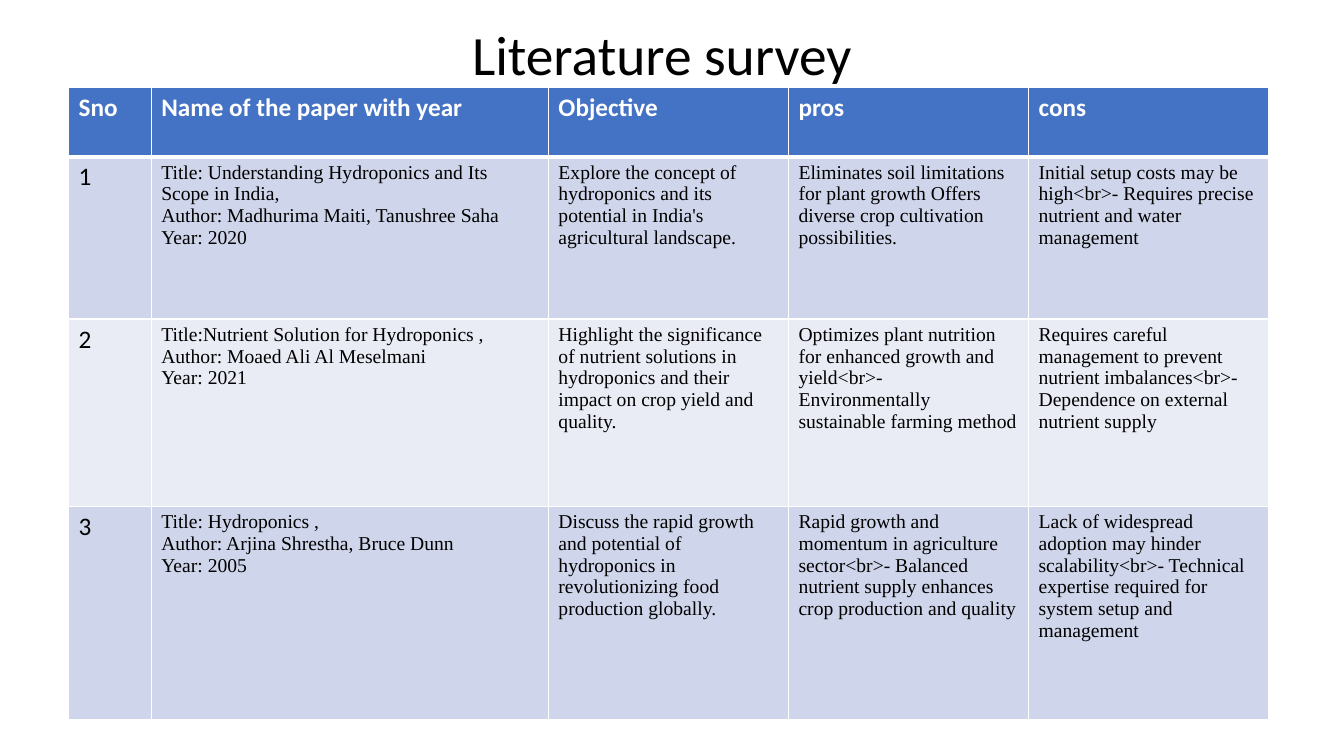
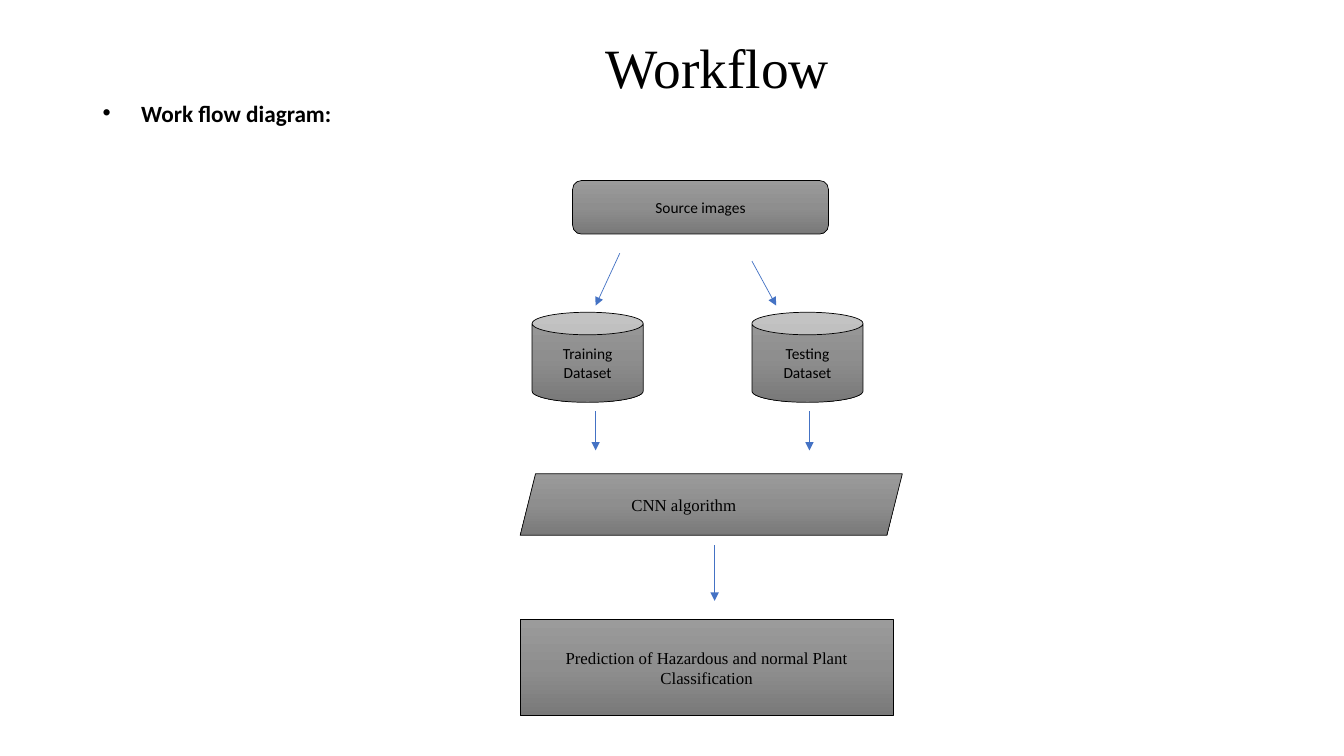
"""Builds the literature survey table and the workflow diagram slides."""
from copy import deepcopy

from lxml import etree
from pptx import Presentation
from pptx.dml.color import RGBColor
from pptx.enum import shapes, text as txt
from pptx.oxml import ns
from pptx.util import Cm, Pt

BLACK = RGBColor(0x00, 0x00, 0x00)
WHITE = RGBColor(0xFF, 0xFF, 0xFF)
BLUE = RGBColor(0x44, 0x72, 0xC4)
BAND_DARK = RGBColor(0xCF, 0xD5, 0xEA)
BAND_LIGHT = RGBColor(0xE9, 0xEB, 0xF5)
GREY_STOPS = [
    (0, RGBColor(0x9B, 0x9B, 0x9B)),
    (0.5, RGBColor(0x8E, 0x8E, 0x8E)),
    (1, RGBColor(0x79, 0x79, 0x79)),
]
SANS, SERIF = "Calibri", "Times New Roman"
LEFT, CENTER = txt.PP_ALIGN.LEFT, txt.PP_ALIGN.CENTER
TOP, MIDDLE = txt.MSO_ANCHOR.TOP, txt.MSO_ANCHOR.MIDDLE
SHAPE = shapes.MSO_SHAPE

COLUMN_WIDTHS = [2.08, 10.01, 6.05, 6.05, 6.05]
ROW_HEIGHTS = [1.75, 4.09, 4.72, 5.38]
HEADINGS = ["Sno", "Name of the paper with year", "Objective", "pros", "cons"]
PAPERS = [
    ["1",
     "Title: Understanding Hydroponics and Its Scope in India,\n"
     "Author: Madhurima Maiti, Tanushree Saha\nYear: 2020",
     "Explore the concept of hydroponics and its potential in India's "
     "agricultural landscape.",
     "Eliminates soil limitations for plant growth Offers diverse crop "
     "cultivation possibilities.",
     "Initial setup costs may be high<br>- Requires precise nutrient and "
     "water management"],
    ["2",
     "Title:Nutrient Solution for Hydroponics ,\n"
     "Author: Moaed Ali Al Meselmani\nYear: 2021",
     "Highlight the significance of nutrient solutions in hydroponics and "
     "their impact on crop yield and quality.",
     "Optimizes plant nutrition for enhanced growth and yield<br>- "
     "Environmentally sustainable farming method",
     "Requires careful management to prevent nutrient imbalances<br>- "
     "Dependence on external nutrient supply"],
    ["3",
     "Title: Hydroponics ,\nAuthor: Arjina Shrestha, Bruce Dunn\nYear: 2005",
     "Discuss the rapid growth and potential of hydroponics in "
     "revolutionizing food production globally.",
     "Rapid growth and momentum in agriculture sector<br>- Balanced "
     "nutrient supply enhances crop production and quality",
     "Lack of widespread adoption may hinder scalability<br>- Technical "
     "expertise required for system setup and management"],
]

STEPS = [
    (SHAPE.ROUNDED_RECTANGLE, (14.43, 4.55, 6.45, 1.35), "Source images",
     dict(size=11)),
    (SHAPE.CAN, (13.41, 7.87, 2.8, 2.27), "Training Dataset", dict(size=11)),
    (SHAPE.CAN, (18.95, 7.87, 2.8, 2.27), "Testing Dataset", dict(size=11)),
    (SHAPE.PARALLELOGRAM, (13.11, 11.94, 9.63, 1.55), "CNN algorithm",
     dict(size=12, font=SERIF, align=LEFT, margin=1.59)),
    (SHAPE.RECTANGLE, (13.11, 15.62, 9.4, 2.42),
     "Prediction of Hazardous and normal Plant Classification",
     dict(size=12, font=SERIF)),
]
ARROWS = [
    (15.62, 6.38, 15.01, 7.7),
    (18.95, 6.58, 19.56, 7.7),
    (15.01, 10.36, 15.01, 11.35),
    (20.4, 10.36, 20.4, 11.35),
    (18.01, 13.74, 18.01, 15.14),
]


def add_xml(parent, tag, **attributes):
    """Append a drawing element with attributes and return it."""
    return etree.SubElement(parent, ns.qn(tag), attributes)


def put_text(frame, content, size=14, font=SANS, color=BLACK, bold=False,
             align=LEFT, anchor=TOP, spacing=None, margin=0, bullet=None):
    """Write formatted paragraphs, one for each line of content."""
    frame.text = content
    frame.word_wrap = True
    frame.vertical_anchor = anchor
    for paragraph in frame.paragraphs:
        paragraph.alignment = align
        if spacing:
            paragraph.line_spacing = spacing
        properties = paragraph._p.get_or_add_pPr()
        if margin:
            properties.set("marL", str(Cm(margin)))
        if bullet:
            properties.set("indent", str(-Cm(margin)))
            add_xml(properties, "a:buFont", typeface="Arial")
            add_xml(properties, "a:buChar", char=bullet)
        for run in paragraph.runs:
            run.font.name = font
            run.font.size = Pt(size)
            run.font.bold = bold
            run.font.color.rgb = color


def add_label(slide, box, content, **style):
    """Add a text box measured in centimetres."""
    label = slide.shapes.add_textbox(*map(Cm, box))
    put_text(label.text_frame, content, **style)


def add_title(slide, content, center, top, font=SANS):
    """Add a slide title centred on a horizontal position."""
    width = 20
    add_label(slide, (center - width / 2, top, width, 1.8), content, size=39.6,
              font=font, align=CENTER, anchor=MIDDLE, spacing=0.9)


def set_borders(cell, **widths):
    """Draw white cell borders with widths in points by side."""
    properties = cell._tc.get_or_add_tcPr()
    for side in "LRTB":
        border = add_xml(properties, f"a:ln{side}",
                         w=str(Pt(widths.get(side, 1))))
        add_xml(add_xml(border, "a:solidFill"), "a:srgbClr", val=str(WHITE))


def fill_cell(cell, content, row, column):
    """Format one table cell by its place in the grid."""
    if row == 0:
        style, color = dict(size=18, color=WHITE, bold=True), BLUE
        set_borders(cell, B=3)
    else:
        style = dict(size=18) if column == 0 else dict(font=SERIF)
        color = BAND_DARK if row % 2 else BAND_LIGHT
        set_borders(cell, T=3 if row == 1 else 1)
    cell.fill.solid()
    cell.fill.fore_color.rgb = color
    put_text(cell.text_frame, content, **style)


def add_survey_table(slide):
    """Add the table of surveyed papers."""
    rows = [HEADINGS] + PAPERS
    survey = slide.shapes.add_table(
        len(rows), len(HEADINGS), Cm(1.73), Cm(2.2),
        Cm(sum(COLUMN_WIDTHS)), Cm(sum(ROW_HEIGHTS))).table
    for column, width in zip(survey.columns, COLUMN_WIDTHS):
        column.width = Cm(width)
    for row, height in zip(survey.rows, ROW_HEIGHTS):
        row.height = Cm(height)
    for r, contents in enumerate(rows):
        for c, content in enumerate(contents):
            fill_cell(survey.cell(r, c), content, r, c)


def add_step(slide, kind, box, content, style):
    """Add one grey workflow step."""
    step = slide.shapes.add_shape(kind, *map(Cm, box))
    step.shadow.inherit = False
    step.fill.gradient()
    step.fill.gradient_angle = 270
    first_stop = step.element.spPr.find(".//" + ns.qn("a:gs"))
    first_stop.addnext(deepcopy(first_stop))
    for stop, (position, color) in zip(step.fill.gradient_stops, GREY_STOPS):
        stop.position = position
        stop.color.rgb = color
    step.line.color.rgb = BLACK
    step.line.width = Pt(0.5)
    put_text(step.text_frame, content,
             **{"align": CENTER, "anchor": MIDDLE, **style})


def add_arrow(slide, ends):
    """Add a thin blue arrow between two points."""
    arrow = slide.shapes.add_connector(
        shapes.MSO_CONNECTOR.STRAIGHT, *map(Cm, ends))
    arrow.line.color.rgb = BLUE
    arrow.line.width = Pt(0.5)
    add_xml(arrow.line._get_or_add_ln(), "a:tailEnd", type="triangle")
    add_xml(arrow._element.spPr, "a:effectLst")


def main():
    """Build and save both slides."""
    deck = Presentation()
    deck.slide_width, deck.slide_height = Cm(33.87), Cm(19.05)
    blank = deck.slide_layouts[6]

    survey = deck.slides.add_slide(blank)
    add_title(survey, "Literature survey", center=16.68, top=0.56)
    add_survey_table(survey)

    workflow = deck.slides.add_slide(blank)
    add_title(workflow, "Workflow", center=18.08, top=0.87, font=SERIF)
    add_label(workflow, (2.34, 2.51, 12, 1.2), "Work flow diagram:", size=16.6,
              bold=True, spacing=0.8, margin=0.97, bullet="•")
    for step in STEPS:
        add_step(workflow, *step)
    for ends in ARROWS:
        add_arrow(workflow, ends)

    deck.save("out.pptx")


if __name__ == "__main__":
    main()
